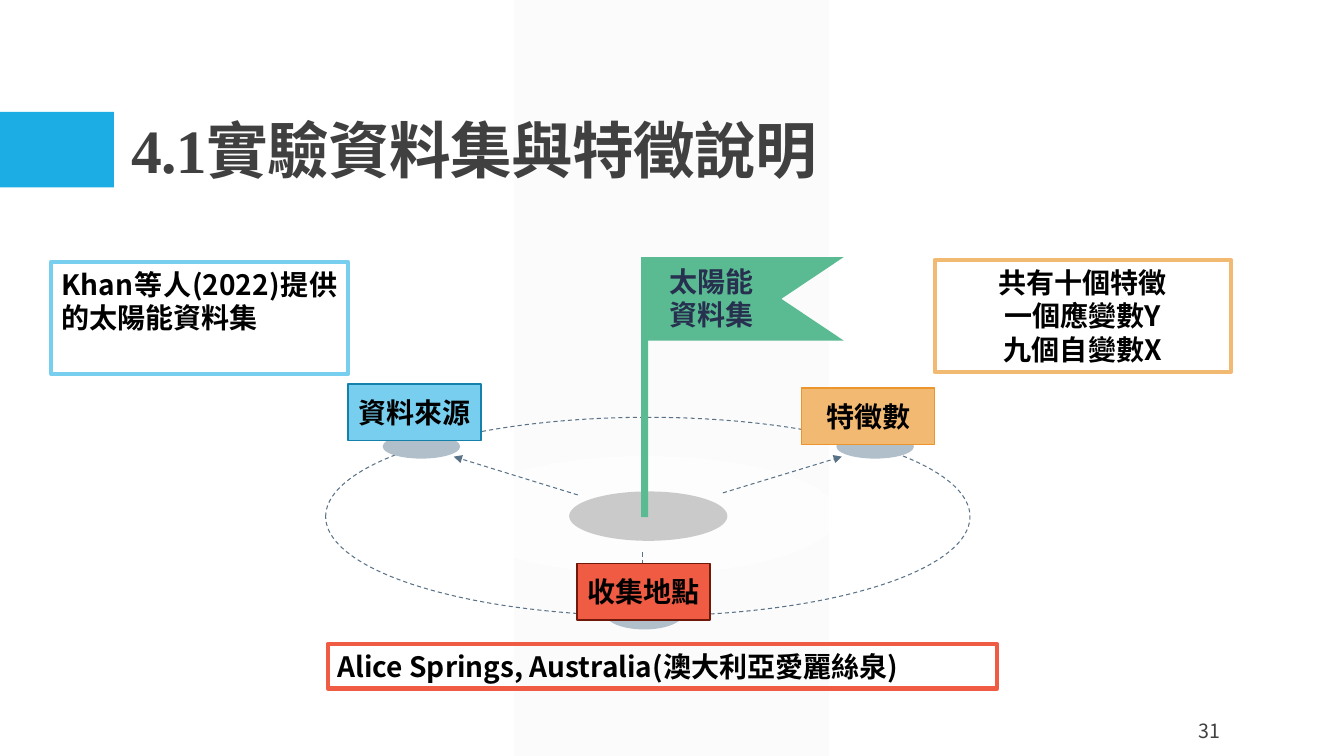
"""Build the slide on the solar data set and its features."""
from lxml.etree import SubElement
from pptx import Presentation
from pptx.dml.color import RGBColor
from pptx.enum.dml import MSO_LINE
from pptx.enum.shapes import MSO_CONNECTOR, MSO_SHAPE
from pptx.enum.text import MSO_ANCHOR, MSO_AUTO_SIZE, PP_ALIGN
from pptx.oxml.ns import qn
from pptx.util import Inches, Pt

WIDTH, HEIGHT = 13.33, 7.5
CJK_FONT = "Noto Sans CJK SC"
GREEN, SLATE, PALE = "5ABB93", "597287", "B1BFCB"
TITLE = "4.1實驗資料集與特徵說明"
PAGE_NUMBER = "31"
FLAG_LINES = ["太陽能", "資料集"]
LABEL_SIZE = (1.32, 0.56)
LABELS = [
    ("資料來源", 3.45, 3.81, "77CEEF", "1580A9"),
    ("特徵數", 7.95, 3.85, "F2B973", "EC952C"),
    ("收集地點", 5.72, 5.59, "EF5B43", "70190A"),
]
NOTES = [
    (["共有十個特徵", "一個應變數Y", "九個自變數X"], (9.27, 2.58, 2.94, 1.11), "F2B973", PP_ALIGN.CENTER),
    (["Alice Springs, Australia(澳大利亞愛麗絲泉)"], (3.25, 6.39, 6.64, 0.44), "EF5B43", PP_ALIGN.JUSTIFY),
    (["Khan等人(2022)提供的太陽能資料集"], (0.51, 2.6, 2.94, 1.11), "77CEEF", PP_ALIGN.JUSTIFY),
]
DISCS = [
    (6.41, 5.11, 3.8, 1.17, "FFFFFF", 70),
    (6.43, 5.12, 1.57, 0.49, "999999", 50),
    (4.18, 4.43, 0.77, 0.24, PALE, 100),
    (6.39, 6.09, 0.77, 0.31, PALE, 100),
    (8.68, 4.43, 0.77, 0.24, PALE, 100),
]
ARROWS = [(6.37, 5.48, 6.37, 5.82), (7.17, 4.89, 8.35, 4.53), (5.73, 4.91, 4.5, 4.53)]
FLAG_LEFT, FLAG_TOP, FLAG_WIDTH, FLAG_HEIGHT = 6.41, 2.55, 1.96, 0.83
FLAG_NOTCH = 0.62

presentation = Presentation()
presentation.slide_width, presentation.slide_height = Inches(WIDTH), Inches(HEIGHT)
slide = presentation.slides.add_slide(presentation.slide_layouts[5])


def color(value):
    """Turn a hex string into a colour."""
    return RGBColor.from_string(value)


def paint(shape, fill=None, line=None, weight=1.0, opacity=100):
    """Set the fill, outline and shadow of a shape."""
    shape.shadow.inherit = False
    if fill:
        shape.fill.solid()
        shape.fill.fore_color.rgb = color(fill)
        if opacity < 100:
            tone = shape.fill._xPr.find(qn("a:solidFill"))[0]
            SubElement(tone, qn("a:alpha"), val=str(opacity * 1000))
    else:
        shape.fill.background()
    if line:
        shape.line.color.rgb = color(line)
        shape.line.width = Pt(weight)
    else:
        shape.line.fill.background()


def draw(kind, box, **style):
    """Add a painted preset shape."""
    shape = slide.shapes.add_shape(kind, *map(Inches, box))
    paint(shape, **style)
    return shape


def write(shape, lines, size=20, font=CJK_FONT, tone="000000", bold=True,
          align=PP_ALIGN.CENTER, anchor=MSO_ANCHOR.TOP, spacing=None, tracking=None):
    """Fill a shape with formatted paragraphs."""
    frame = shape.text_frame
    frame.word_wrap, frame.auto_size = True, MSO_AUTO_SIZE.NONE
    frame.vertical_anchor = anchor
    frame.text = "\n".join(lines)
    for paragraph in frame.paragraphs:
        paragraph.alignment, paragraph.line_spacing = align, spacing
        run = paragraph.runs[0]
        run.font.size, run.font.bold, run.font.name = Pt(size), bold, font
        run.font.color.rgb = color(tone)
        properties = run._r.get_or_add_rPr()
        SubElement(properties, qn("a:ea"), typeface=CJK_FONT)
        if tracking:
            properties.set("spc", str(tracking))


def add_text(box, lines, **style):
    """Add a text box with formatted paragraphs."""
    write(slide.shapes.add_textbox(*map(Inches, box)), lines, **style)


def add_arrow(ends):
    """Add a dashed arrow between two points."""
    arrow = slide.shapes.add_connector(MSO_CONNECTOR.STRAIGHT, *map(Inches, ends))
    arrow.line.color.rgb, arrow.line.width = color(SLATE), Pt(0.75)
    arrow.line.dash_style = MSO_LINE.DASH
    SubElement(arrow.line._get_or_add_ln(), qn("a:tailEnd"), type="triangle")
    SubElement(arrow._element.spPr, qn("a:effectLst"))


def add_backdrop():
    """Draw the pale band, the accent block, the title and the page number."""
    draw(MSO_SHAPE.RECTANGLE, (5.1, 0, 3.12, HEIGHT), fill="F2F2F2", opacity=30)
    draw(MSO_SHAPE.RECTANGLE, (0, 1.11, 1.13, 0.75), fill="1CADE4")
    title = slide.shapes.title
    title.left, title.top, title.width, title.height = map(Inches, (1.2, 0.31, 11, 1.59))
    write(title, [TITLE], size=44, font="Times New Roman", tone="404040", align=PP_ALIGN.LEFT,
          anchor=MSO_ANCHOR.BOTTOM, spacing=0.9, tracking=-50)
    title._element.getparent().append(title._element)
    add_text((11.35, 7.05, 0.85, 0.4), [PAGE_NUMBER], size=14, font="Noto Sans CJK TC",
             tone="404040", bold=False, align=PP_ALIGN.RIGHT, anchor=MSO_ANCHOR.MIDDLE)


def add_flag():
    """Draw the flag, its pole and its caption."""
    right, bottom = FLAG_LEFT + FLAG_WIDTH, FLAG_TOP + FLAG_HEIGHT
    corners = [(FLAG_LEFT, FLAG_TOP), (FLAG_LEFT, bottom), (right, bottom),
               (right - FLAG_NOTCH, FLAG_TOP + FLAG_HEIGHT / 2)]
    builder = slide.shapes.build_freeform(Inches(right), Inches(FLAG_TOP))
    builder.add_line_segments([tuple(map(Inches, corner)) for corner in corners])
    paint(builder.convert_to_shape(), fill=GREEN)
    draw(MSO_SHAPE.RECTANGLE, (6.36, FLAG_TOP, 0.07, 2.58), fill=GREEN)
    add_text((6.31, 2.57, 1.49, 0.65), FLAG_LINES, tone="27304E")


def main():
    """Compose the slide and save it."""
    add_backdrop()
    orbit = draw(MSO_SHAPE.OVAL, (3.23, 4.14, 6.39, 1.97), line=SLATE, weight=0.75)
    orbit.line.dash_style = MSO_LINE.DASH
    for center_x, center_y, width, height, fill, opacity in DISCS:
        draw(MSO_SHAPE.OVAL, (center_x - width / 2, center_y - height / 2, width, height),
             fill=fill, opacity=opacity)
    for ends in ARROWS:
        add_arrow(ends)
    add_flag()
    for lines, box, line, align in NOTES:
        write(draw(MSO_SHAPE.RECTANGLE, box, line=line, weight=3), lines, align=align)
    for text, left, top, fill, line in LABELS:
        label = draw(MSO_SHAPE.RECTANGLE, (left, top, *LABEL_SIZE), fill=fill, line=line, weight=1.25)
        write(label, [text], anchor=MSO_ANCHOR.MIDDLE)
    presentation.save("out.pptx")


if __name__ == "__main__":
    main()
